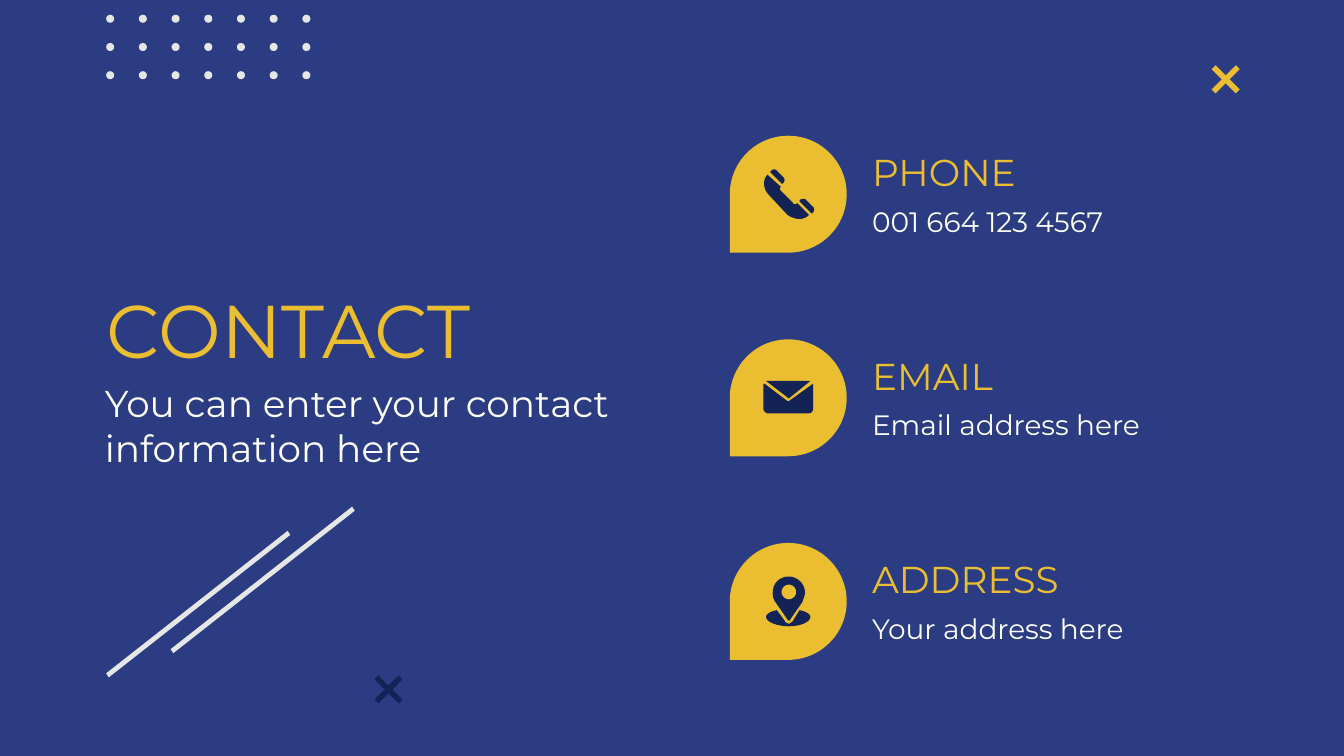
from pptx import Presentation
from pptx.dml.color import RGBColor
from pptx.enum.shapes import MSO_CONNECTOR, MSO_SHAPE
from pptx.enum.text import MSO_ANCHOR, MSO_AUTO_SIZE, PP_ALIGN
from pptx.util import Inches, Pt
from lxml.etree import SubElement
from pptx.oxml.ns import qn

BLUE = RGBColor(0x2B, 0x3C, 0x82)
NAVY = RGBColor(0x13, 0x23, 0x56)
YELLOW = RGBColor(0xEB, 0xBE, 0x31)
GRAY = RGBColor(0xE6, 0xE6, 0xE6)
WHITE = RGBColor(0xFF, 0xFF, 0xFF)
FONT = "Montserrat"

TITLE = "CONTACT"
SUBTITLE = "You can enter your contact information here"

PHONE = [
    [[(33, 25), (32, 25, 31, 26, 31, 26), (30, 27), (39, 36), (40, 35),
      (41, 34, 41, 32, 40, 31), (35, 26), (35, 26, 34, 25, 33, 25)]],
    [[(28, 29), (24, 33, 25, 40, 29, 44), (43, 59), (46, 61, 49, 62, 52, 62),
      (54, 62, 57, 61, 59, 59), (50, 50), (50, 51, 49, 51, 49, 51),
      (48, 51, 47, 51, 47, 50), (38, 41), (37, 40, 37, 39, 38, 38)]],
    [[(55, 47), (54, 47, 53, 47, 52, 48), (52, 49), (61, 58), (62, 57),
      (63, 56, 63, 54, 62, 53), (57, 48), (56, 47, 56, 47, 55, 47)]],
]
ENVELOPE = [
    [[(26, 33), (25, 33, 25, 34, 25, 34), (25, 52), (25, 53, 27, 55, 28, 55),
      (59, 55), (61, 55, 62, 53, 62, 52), (62, 34), (62, 34, 62, 33, 62, 33),
      (44, 46), (43, 46)]],
    [[(27, 31), (44, 44), (60, 31)]],
]
PIN = [
    [[(44, 25), (37, 25, 32, 30, 32, 37), (32, 39, 32, 41, 34, 44), (43, 57),
      (43, 58, 45, 58, 45, 57), (54, 44), (55, 41, 56, 39, 56, 37),
      (56, 30, 50, 25, 44, 25)],
     [(44, 31), (47, 31, 49.5, 33.5, 49.5, 36.5), (49.5, 39.5, 47, 42, 44, 42),
      (41, 42, 38.5, 39.5, 38.5, 36.5), (38.5, 33.5, 41, 31, 44, 31)]],
    [[(35, 50), (30, 51, 27, 53, 27, 55), (27, 59, 36, 62, 44, 62),
      (52, 62, 60, 59, 60, 55), (60, 53, 57, 51, 52, 50), (47, 58),
      (46, 59, 45, 60, 44, 60), (43, 60, 41, 59, 41, 58)]],
]
CONTACTS = [
    ("PHONE", "001 664 123 4567", PHONE),
    ("EMAIL", "Email address here", ENVELOPE),
    ("ADDRESS", "Your address here", PIN),
]
DROP_X, TEXT_X, FIRST_Y, LAST_Y, DROP = 5.43, 6.39, 1.01, 4.04, 0.87
DOT_COLS, DOT_ROWS, DOT = 7, 3, 0.06
DOTS_X, DOTS_Y, DOTS_W, DOTS_H = 0.79, 0.11, 1.46, 0.42
CROSSES = [(9.03, 0.5, YELLOW), (2.8, 5.04, NAVY)]
CROSS = 0.18
STRIPES = [(127, 377), (79, 395)]
STRIPE = [(135, 0), (0, 106), (2, 109), (137, 3)]


def box(x, y, w, h):
    """Convert a box in inches to slide units."""
    return [Inches(v) for v in (x, y, w, h)]


def paint(shape, color):
    """Give a shape a flat fill without line or shadow."""
    shape.shadow.inherit = False
    shape.fill.solid()
    shape.fill.fore_color.rgb = color
    shape.line.fill.background()


def flatten(outline, steps=8):
    """Turn corner points and cubic curves into a list of points."""
    points = [outline[0]]
    for part in outline[1:]:
        if len(part) == 2:
            points.append(part)
            continue
        curve = [points[-1], part[:2], part[2:4], part[4:]]
        for i in range(1, steps + 1):
            t = i / steps
            weights = ((1 - t) ** 3, 3 * t * (1 - t) ** 2, 3 * t * t * (1 - t), t ** 3)
            points.append(tuple(sum(k * pt[a] for k, pt in zip(weights, curve))
                                for a in (0, 1)))
    return points


def add_outline(s, outlines, x, y, color):
    """Draw outlines given in hundredths of an inch from x, y."""
    builder = None
    for outline in outlines:
        points = [(Inches(x + px / 100), Inches(y + py / 100))
                  for px, py in flatten(outline)]
        if builder is None:
            builder = s.shapes.build_freeform(*points[0])
        else:
            builder.move_to(*points[0])
        builder.add_line_segments(points[1:])
    paint(builder.convert_to_shape(), color)


def write(sp, text, size, color, anchor):
    """Fill a text shape with one left-aligned paragraph."""
    tf = sp.text_frame
    tf.text = text
    tf.word_wrap = True
    tf.auto_size = MSO_AUTO_SIZE.NONE
    tf.vertical_anchor = anchor
    tf.margin_left = tf.margin_right = tf.margin_top = tf.margin_bottom = Inches(0.1)
    p = tf.paragraphs[0]
    p.alignment = PP_ALIGN.LEFT
    p.space_before = Pt(0)
    font = p.runs[0].font
    font.name, font.size, font.color.rgb = FONT, Pt(size), color


def add_cross(s, x, y, color):
    """Draw two crossing diagonal lines."""
    for top, bottom in ((y, y + CROSS), (y + CROSS, y)):
        line = s.shapes.add_connector(MSO_CONNECTOR.STRAIGHT,
                                      *box(x + CROSS, top, x, bottom))
        line.line.color.rgb = color
        line.line.width = Pt(3)
        SubElement(line._element.spPr, qn("a:effectLst"))


def add_contact(s, y, heading, detail, icon):
    """Draw one contact row: drop, icon, heading and detail."""
    drop = s.shapes.add_shape(MSO_SHAPE.TEAR, *box(DROP_X, y, DROP, DROP))
    drop.rotation = 180
    paint(drop, YELLOW)
    for outlines in icon:
        add_outline(s, outlines, DROP_X, y, NAVY)
    write(s.shapes.add_textbox(*box(TEXT_X, y, 2.43, 0.57)),
          heading, 20, YELLOW, MSO_ANCHOR.TOP)
    write(s.shapes.add_textbox(*box(TEXT_X, y + 0.29, 3.14, 0.69)),
          detail, 15, WHITE, MSO_ANCHOR.MIDDLE)


def main():
    """Build the contact slide."""
    prs = Presentation()
    prs.slide_width = Inches(10)
    prs.slide_height = prs.slide_width * 9 // 16
    s = prs.slides.add_slide(prs.slide_layouts[0])
    s.background.fill.solid()
    s.background.fill.fore_color.rgb = BLUE

    title, subtitle = s.shapes.title, s.placeholders[1]
    title.left, title.top, title.width, title.height = box(0.69, 1.7, 4.72, 1.18)
    subtitle.left, subtitle.top, subtitle.width, subtitle.height = box(0.68, 2.73, 4.32, 0.89)
    write(title, TITLE, 40, YELLOW, MSO_ANCHOR.BOTTOM)
    write(subtitle, SUBTITLE, 20, WHITE, MSO_ANCHOR.TOP)

    for row in range(DOT_ROWS):
        for col in range(DOT_COLS):
            x = DOTS_X + col * DOTS_W / (DOT_COLS - 1)
            y = DOTS_Y + row * DOTS_H / (DOT_ROWS - 1)
            paint(s.shapes.add_shape(MSO_SHAPE.OVAL, *box(x, y, DOT, DOT)), GRAY)
    for x, y, color in CROSSES:
        add_cross(s, x, y, color)
    for i, contact in enumerate(CONTACTS):
        add_contact(s, FIRST_Y + i * (LAST_Y - FIRST_Y) / (len(CONTACTS) - 1), *contact)
    for x, y in STRIPES:
        add_outline(s, [STRIPE], x / 100, y / 100, GRAY)

    prs.save("out.pptx")


if __name__ == "__main__":
    main()
